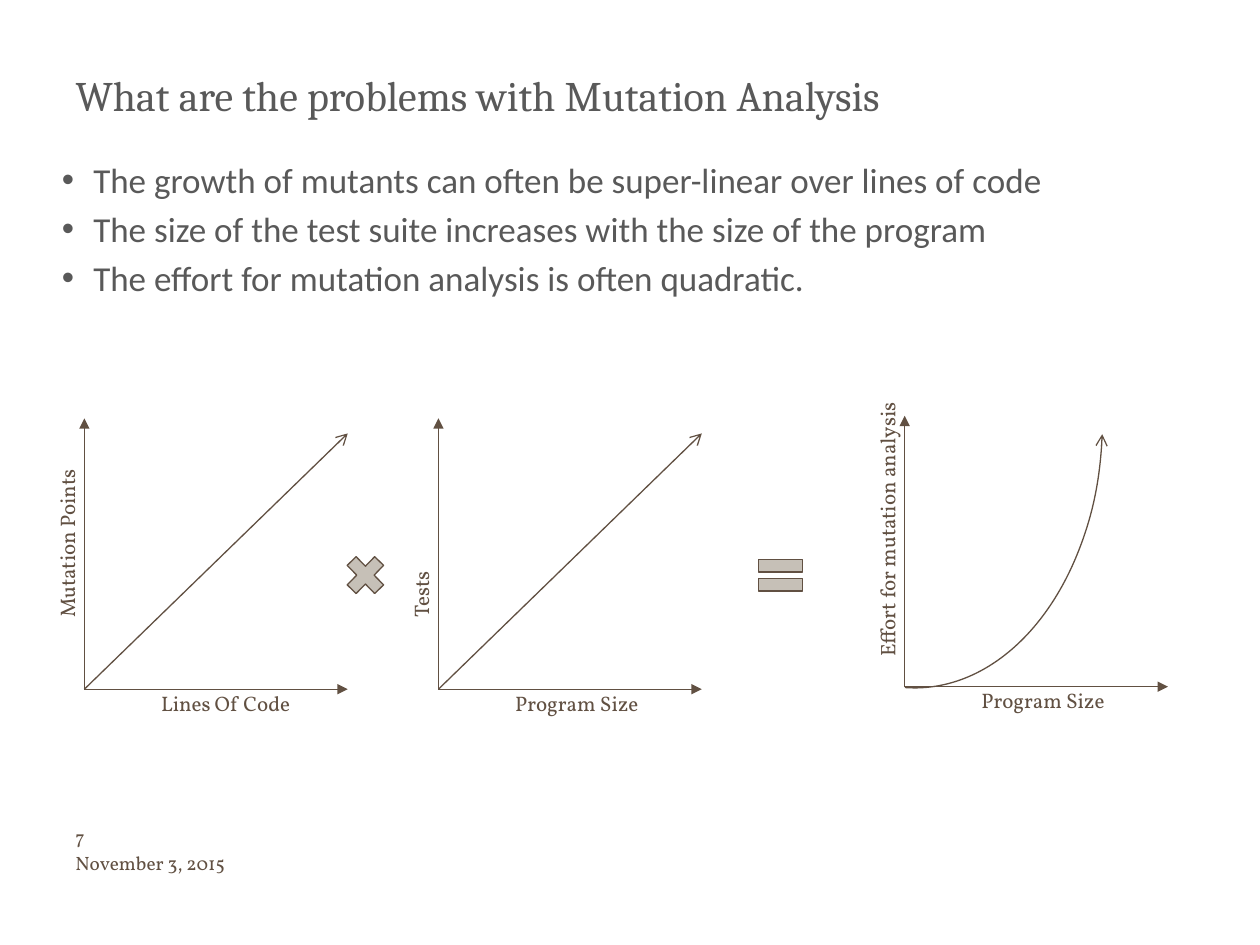
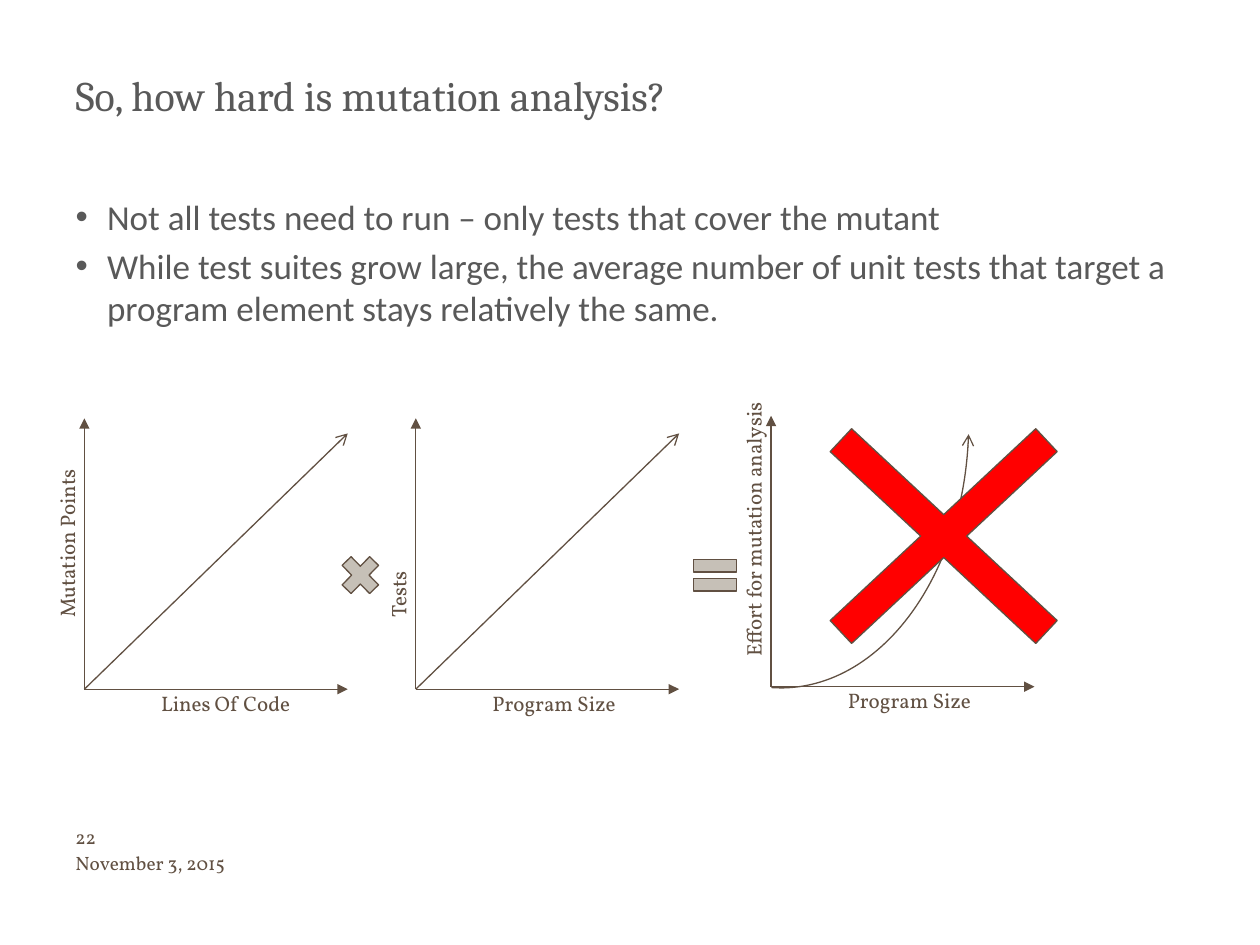
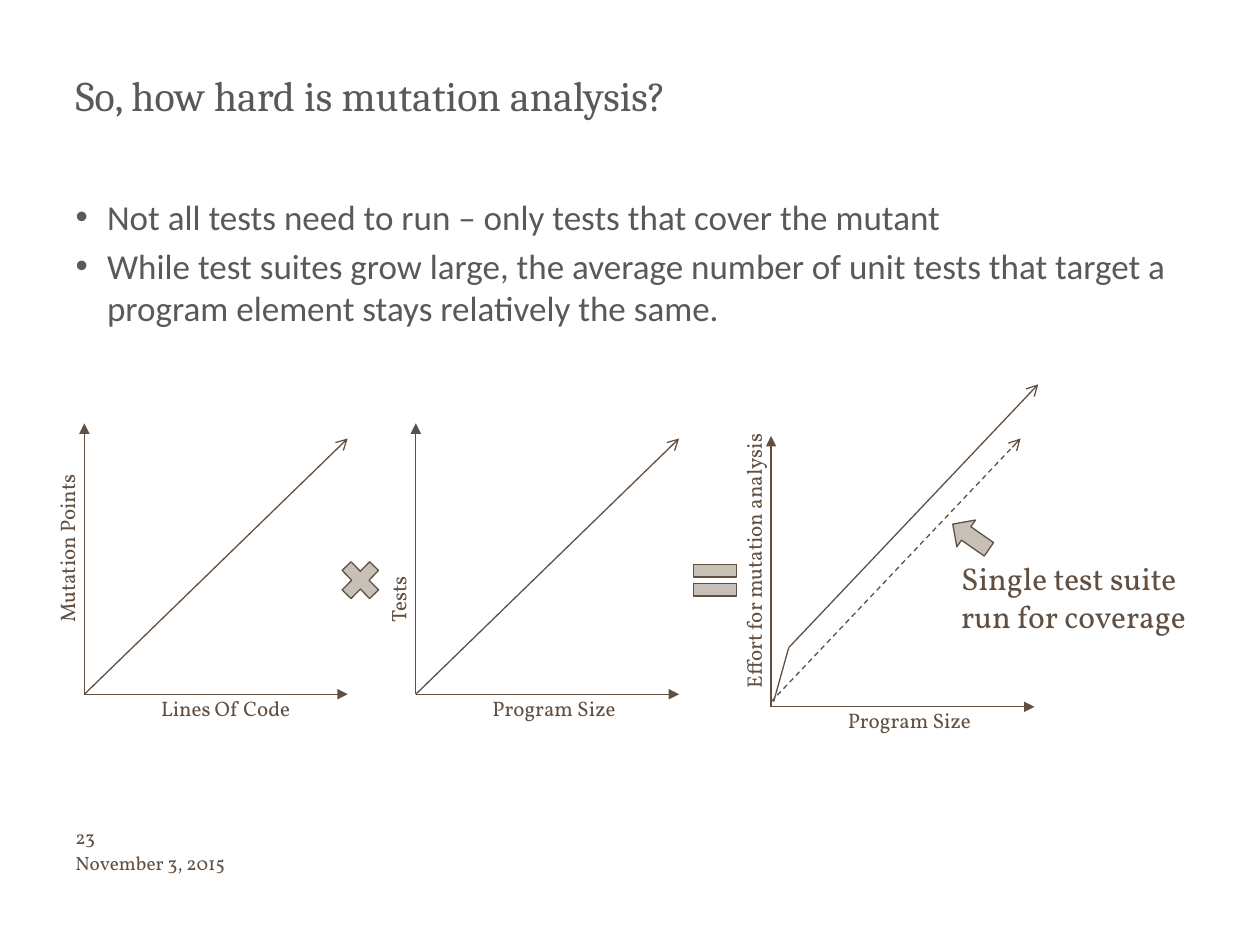
"""Build three slides on the cost of mutation analysis."""
import pptx
import pptx.dml.color
import pptx.enum.dml
import pptx.enum.shapes
import pptx.enum.text
import pptx.oxml.ns
import pptx.util
from lxml import etree

Inches = pptx.util.Inches
Pt = pptx.util.Pt
Shape = pptx.enum.shapes.MSO_SHAPE
Anchor = pptx.enum.text.MSO_ANCHOR
qn = pptx.oxml.ns.qn

GRAY = pptx.dml.color.RGBColor(0x59, 0x59, 0x59)
BROWN = pptx.dml.color.RGBColor(0x61, 0x50, 0x42)
SAND = pptx.dml.color.RGBColor(0xC6, 0xC0, 0xB7)
RED = pptx.dml.color.RGBColor(0xFF, 0x00, 0x00)

DATE = "November 3, 2015"
PROBLEMS = [
    "The growth of mutants can often be super-linear over lines of code",
    "The size of the test suite increases with the size of the program",
    "The effort for mutation analysis is often quadratic.",
]
HARDNESS = [
    "Not all tests need to run – only tests that cover the mutant",
    "While test suites grow large, the average number of unit tests that "
    "target a program element stays relatively the same.",
]


class MutationDeck:
    """Hold the deck style and the current slide."""

    def __init__(self):
        self.deck = pptx.Presentation()
        self.deck.slide_width = Inches(10)
        self.deck.slide_height = Inches(7.5)
        self.page = None

    def add_page(self, title, bullets, number, body_left=0.5, body_top=1.5):
        """Start a slide with its title, bullet list and footer."""
        self.page = self.deck.slides.add_slide(self.deck.slide_layouts[1])
        heading, body = self.page.placeholders
        self.place(heading, 0.5, 0.5, 9, 0.75)
        self.fill_text(heading, [title], "Cambria", 24, GRAY)
        self.place(body, body_left, body_top, 9, 4.75)
        self.fill_text(body, bullets, "Calibri", 20, GRAY, bulleted=True)
        date = self.text(DATE, 0.5, 6.75, 2, 0.2, 11)
        date.text_frame.vertical_anchor = Anchor.MIDDLE
        page_number = self.text(number, 0.5, 6.55, 0.4, 0.2, 11)
        page_number.text_frame.margin_right = 0
        for box in (date, page_number):
            box.text_frame.margin_top = box.text_frame.margin_bottom = 0

    def place(self, box, left, top, width, height):
        """Set the position and size of a box."""
        box.left, box.top = Inches(left), Inches(top)
        box.width, box.height = Inches(width), Inches(height)

    def fill_text(self, box, lines, font, size, color, bulleted=False):
        """Fill a box with paragraphs in one style."""
        frame = box.text_frame
        frame.text = "\n".join(lines)
        frame.word_wrap = True
        frame.auto_size = pptx.enum.text.MSO_AUTO_SIZE.NONE
        frame.vertical_anchor = Anchor.TOP
        for index, para in enumerate(frame.paragraphs):
            para.alignment = pptx.enum.text.PP_ALIGN.LEFT
            para.space_before = Pt(4 if index else 0)
            if bulleted:
                properties = para._p.get_or_add_pPr()
                properties.set("marL", str(Inches(0.25)))
                properties.set("indent", str(-Inches(0.25)))
                etree.SubElement(properties, qn("a:buChar"), char="•")
            for span in para.runs:
                span.font.name = font
                span.font.size = Pt(size)
                span.font.color.rgb = color

    def text(self, words, left, top, width, height=0.3, size=12, rotation=0):
        """Add a text box in the label style."""
        box = self.page.shapes.add_textbox(
            Inches(left), Inches(top), Inches(width), Inches(height))
        box.rotation = rotation
        self.fill_text(box, [words], "Vollkorn", size, BROWN)
        return box

    def stroke(self, shape):
        """Give a shape or connector the thin brown line."""
        shape.line.color.rgb = BROWN
        shape.line.width = Pt(0.75)

    def arrowhead(self, shape, end, kind):
        """Put an arrowhead on one end of a line."""
        outline = shape._element.spPr.find(qn("a:ln"))
        etree.SubElement(outline, qn("a:" + end), type=kind)

    def line(self, start, finish, head=None, dashed=False):
        """Draw a straight line between two points."""
        connector = self.page.shapes.add_connector(
            pptx.enum.shapes.MSO_CONNECTOR.STRAIGHT,
            *(Inches(value) for value in (*start, *finish)))
        self.stroke(connector)
        if dashed:
            connector.line.dash_style = pptx.enum.dml.MSO_LINE.DASH
        if head:
            self.arrowhead(connector, "tailEnd", head)
        etree.SubElement(connector._element.spPr, qn("a:effectLst"))

    def shape(self, kind, left, top, width, height, fill=SAND, adjustments=()):
        """Add an outlined preset shape, unfilled if fill is None."""
        shape = self.page.shapes.add_shape(
            kind, Inches(left), Inches(top), Inches(width), Inches(height))
        shape.shadow.inherit = False
        if fill is None:
            shape.fill.background()
        else:
            shape.fill.solid()
            shape.fill.fore_color.rgb = fill
        self.stroke(shape)
        for index, value in enumerate(adjustments):
            shape.adjustments[index] = value
        return shape

    def axes(self, x, y, x_name, y_name, name_length=1.58, name_gap=0.47):
        """Draw labelled axes with their origin at x, y."""
        self.line((x, y), (x, y - 2.15), "triangle")
        self.line((x, y), (x + 2.09, y), "triangle")
        self.text(x_name, x + 0.51, y - 0.04, 1.58)
        middle = y - name_gap - name_length / 2
        self.text(y_name, x - 0.14 - name_length / 2, middle - 0.15,
                  name_length, rotation=270)

    def linear_plot(self, x, y, x_name, y_name):
        """Draw axes with a rising straight line."""
        self.axes(x, y, x_name, y_name)
        self.line((x, y), (x + 2.09, y - 2.03), "arrow")

    def effort_axes(self, x, y, name_length=2.5, name_gap=0.14):
        """Draw the axes of the effort plot."""
        self.axes(x, y, "Program Size", "Effort for mutation analysis",
                  name_length, name_gap)

    def quadratic_plot(self, x, y):
        """Draw the effort axes with a quadratic curve."""
        self.effort_axes(x, y)
        curve = self.shape(Shape.ARC, x - 1.41, y - 4.24, 2.98, 4.25,
                           None, (2.57, 55.26))
        self.arrowhead(curve, "headEnd", "arrow")

    def factors(self, y, tests_x, multiply_x, equal_x):
        """Draw the two factor plots and the signs of the product."""
        self.linear_plot(0.67, y, "Lines Of Code", "Mutation Points")
        self.linear_plot(tests_x, y, "Program Size", "Tests")
        self.shape(Shape.MATH_EQUAL, equal_x, y - 1.12, 0.47, 0.43)
        self.shape(Shape.MATH_MULTIPLY, multiply_x, y - 1.12, 0.42, 0.43)


def main():
    """Build and save the deck."""
    slides = MutationDeck()

    slides.add_page("What are the problems with Mutation Analysis",
                    PROBLEMS, "7", 0.39, 1.21)
    slides.factors(5.47, 3.48, 2.69, 5.96)
    slides.quadratic_plot(7.18, 5.45)

    hard_title = "So, how hard is mutation analysis?"
    slides.add_page(hard_title, HARDNESS, "22")
    slides.factors(5.47, 3.3, 2.65, 5.44)
    slides.quadratic_plot(6.12, 5.45)
    slides.shape(Shape.MATH_MULTIPLY, 5.92, 2.79, 3.14, 2.93, RED, (0.085,))

    slides.add_page(hard_title, HARDNESS, "23")
    slides.factors(5.51, 3.3, 2.65, 5.44)
    slides.effort_axes(6.12, 5.61, 2.45, 0.05)
    slides.line((6.12, 5.57), (8.1, 3.48), "arrow", dashed=True)
    slides.line((6.26, 5.14), (8.24, 3.05), "arrow")
    slides.line((6.14, 5.57), (6.26, 5.14))
    slides.text("Single test suite run for coverage", 7.53, 4.39, 2.19, 0.71, 18)
    pointer = slides.shape(Shape.LEFT_ARROW, 7.53, 4.13, 0.35, 0.26)
    pointer.rotation = 34.9

    slides.deck.save("out.pptx")


if __name__ == "__main__":
    main()
